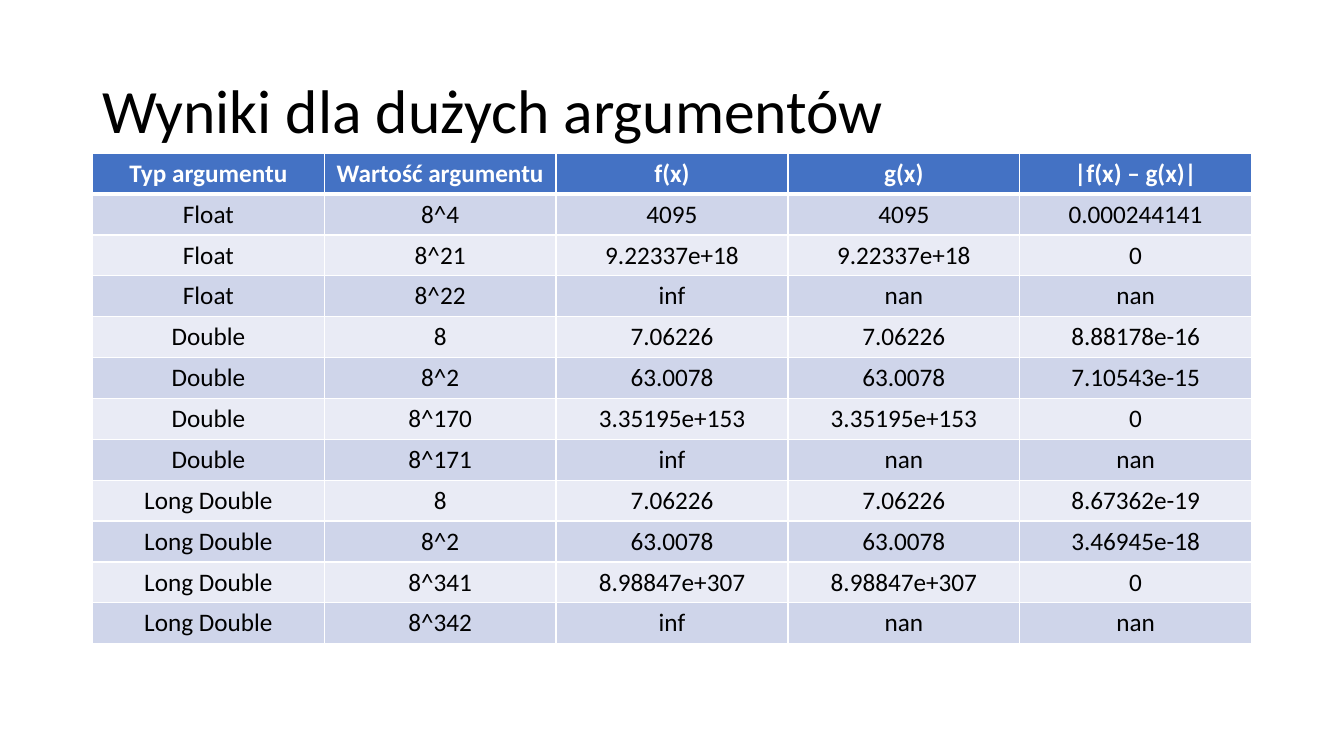
from dataclasses import dataclass

from lxml.etree import SubElement
from pptx import Presentation
from pptx.dml.color import RGBColor
from pptx.enum.text import MSO_ANCHOR, PP_ALIGN
from pptx.oxml.ns import qn
from pptx.util import Cm, Pt


@dataclass(frozen=True)
class Theme:
    font: str = "Calibri"
    title_size: int = 44
    table_size: int = 18
    ink: str = "000000"
    white: str = "FFFFFF"
    header: str = "4472C4"
    bands: tuple = ("CFD5EA", "E9EBF5")
    thin_line: int = 1
    thick_line: int = 3


THEME = Theme()
TITLE = "Wyniki dla dużych argumentów"
HEADINGS = ("Typ argumentu", "Wartość argumentu", "f(x)", "g(x)", "|f(x) – g(x)|")
RESULTS = (
    ("Float", "8^4", "4095", "4095", "0.000244141"),
    ("Float", "8^21", "9.22337e+18", "9.22337e+18", "0"),
    ("Float", "8^22", "inf", "nan", "nan"),
    ("Double", "8", "7.06226", "7.06226", "8.88178e-16"),
    ("Double", "8^2", "63.0078", "63.0078", "7.10543e-15"),
    ("Double", "8^170", "3.35195e+153", "3.35195e+153", "0"),
    ("Double", "8^171", "inf", "nan", "nan"),
    ("Long Double", "8", "7.06226", "7.06226", "8.67362e-19"),
    ("Long Double", "8^2", "63.0078", "63.0078", "3.46945e-18"),
    ("Long Double", "8^341", "8.98847e+307", "8.98847e+307", "0"),
    ("Long Double", "8^342", "inf", "nan", "nan"),
)
LEFT = Cm(2.33)
WIDTH = Cm(29.21)
ROW_HEIGHT = Cm(1.03)


def add_span(para, text, size, color, bold=False):
    span = para.add_run()
    span.text = text
    span.font.name = THEME.font
    span.font.size = Pt(size)
    span.font.bold = bold
    span.font.color.rgb = RGBColor.from_string(color)


def add_title(page, text):
    box = page.shapes.add_textbox(LEFT, Cm(1.01), WIDTH, Cm(3.68))
    frame = box.text_frame
    frame.word_wrap = True
    frame.vertical_anchor = MSO_ANCHOR.MIDDLE
    para = frame.paragraphs[0]
    para.line_spacing = 0.9
    add_span(para, text, THEME.title_size, THEME.ink)


def add_border(cell, side, points):
    properties = cell._tc.get_or_add_tcPr()
    line = SubElement(properties, qn(f"a:ln{side}"), w=str(Pt(points)))
    fill = SubElement(line, qn("a:solidFill"))
    SubElement(fill, qn("a:srgbClr"), val=THEME.white)


def fill_cell(cell, text, row_index):
    is_header = row_index == 0
    thick_sides = {0: "B", 1: "T"}
    for side in "LRTB":
        is_thick = thick_sides.get(row_index) == side
        add_border(cell, side, THEME.thick_line if is_thick else THEME.thin_line)
    background = THEME.header if is_header else THEME.bands[(row_index - 1) % 2]
    cell.fill.solid()
    cell.fill.fore_color.rgb = RGBColor.from_string(background)
    cell.vertical_anchor = MSO_ANCHOR.MIDDLE
    para = cell.text_frame.paragraphs[0]
    para.alignment = PP_ALIGN.CENTER
    color = THEME.white if is_header else THEME.ink
    add_span(para, text, THEME.table_size, color, bold=is_header)


def add_results_table(page, rows):
    table = page.shapes.add_table(
        len(rows), len(rows[0]), LEFT, Cm(3.86), WIDTH, ROW_HEIGHT * len(rows)
    ).table
    for row_index, values in enumerate(rows):
        table.rows[row_index].height = ROW_HEIGHT
        for column_index, text in enumerate(values):
            fill_cell(table.cell(row_index, column_index), text, row_index)


def main():
    deck = Presentation()
    deck.slide_width = Cm(33.87)
    deck.slide_height = Cm(19.05)
    page = deck.slides.add_slide(deck.slide_layouts[6])
    add_title(page, TITLE)
    add_results_table(page, (HEADINGS, *RESULTS))
    deck.save("out.pptx")


if __name__ == "__main__":
    main()
